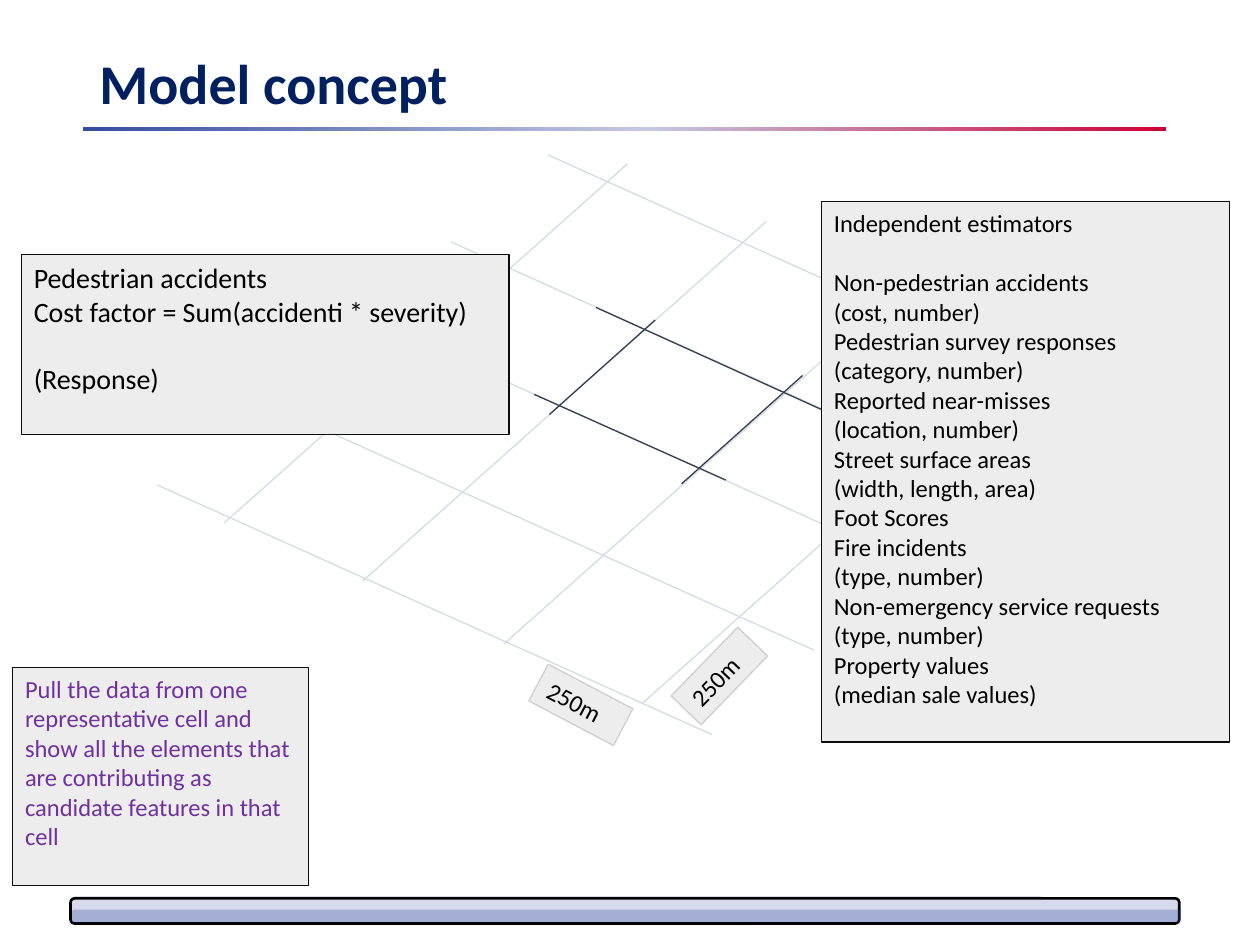
from typing import NamedTuple

from lxml.etree import SubElement
from pptx import Presentation
from pptx.dml.color import RGBColor
from pptx.enum.shapes import MSO_CONNECTOR, MSO_SHAPE
from pptx.enum.text import MSO_ANCHOR, PP_ALIGN
from pptx.oxml import parse_xml
from pptx.oxml.ns import nsdecls, qn
from pptx.util import Inches, Pt

FONT = "Calibri"
NAVY = RGBColor(0x00, 0x20, 0x60)
BLUE = RGBColor(0x35, 0x4C, 0xA1)
BLACK = RGBColor(0x00, 0x00, 0x00)
PURPLE = RGBColor(0x70, 0x30, 0xA0)
PANEL_FILL = RGBColor(0xED, 0xED, 0xED)
PANEL_EDGE = RGBColor(0x0D, 0x0D, 0x0D)
LABEL_EDGE = RGBColor(0xD0, 0xCE, 0xCE)
GRID = RGBColor(0xD6, 0xDC, 0xE5)
CELL_EDGE = RGBColor(0x33, 0x3F, 0x50)


class Box(NamedTuple):
    left: float
    top: float
    width: float
    height: float


class Panel(NamedTuple):
    box: Box
    lines: list[str]
    size: float = 14
    color: RGBColor = BLACK
    edge: RGBColor = PANEL_EDGE
    rotation: float = 0
    wrap: bool = True
    gap_before: int | None = None  # index of the line set off by one line height


# Each family of grid lines shares one direction
AVENUE_STARTS = [(4.98, 1.3), (6.08, 1.76), (7.2, 2.26), (8.3, 2.73)]
AVENUE_RUN = (-3.2, 2.85)
STREET_STARTS = [(1.25, 3.85), (2.06, 3.18), (2.82, 2.49), (3.58, 1.92), (4.35, 1.23)]
STREET_RUN = (4.4, 1.98)
CELL_SIDES = [
    ((5.2, 2.54), (4.36, 3.29)),
    ((6.37, 2.98), (5.41, 3.84)),
    ((4.24, 3.13), (5.76, 3.81)),
    ((4.73, 2.44), (6.52, 3.25)),
]

PANELS = [
    Panel(Box(5.33, 5.2, 0.76, 0.33), ["250m"], edge=LABEL_EDGE, rotation=314.1, wrap=False),
    Panel(Box(4.23, 5.43, 0.76, 0.33), ["250m"], edge=LABEL_EDGE, rotation=27.8, wrap=False),
    Panel(
        Box(0.17, 2.02, 3.87, 1.43),
        ["Pedestrian accidents", "Cost factor = Sum(accidenti * severity)", "(Response)"],
        size=16,
        gap_before=2,
    ),
    Panel(
        Box(6.52, 1.6, 3.24, 4.29),
        [
            "Independent estimators",
            "Non-pedestrian accidents", "(cost, number)",
            "Pedestrian survey responses", "(category, number)",
            "Reported near-misses", "(location, number)",
            "Street surface areas", "(width, length, area)",
            "Foot Scores",
            "Fire incidents", "(type, number)",
            "Non-emergency service requests", "(type, number)",
            "Property values", "(median sale values)",
        ],
        gap_before=1,
    ),
    Panel(
        Box(0.1, 5.3, 2.35, 1.73),
        ["Pull the data from one representative cell and show all the elements "
         "that are contributing as candidate features in that cell"],
        color=PURPLE,
    ),
]


def write(shape, lines: list[str], *, size: float, color: RGBColor, bold: bool = False,
          anchor=MSO_ANCHOR.TOP, wrap: bool = True, spacing: float = 1.0,
          gap_before: int | None = None) -> None:
    frame = shape.text_frame
    frame.word_wrap = wrap
    frame.vertical_anchor = anchor
    for index, line in enumerate(lines):
        paragraph = frame.paragraphs[0] if index == 0 else frame.add_paragraph()
        paragraph.alignment = PP_ALIGN.LEFT
        paragraph.line_spacing = spacing
        if index == gap_before:
            paragraph.space_before = Pt(round(size * 1.22, 1))
        run = paragraph.add_run()
        run.text = line
        run.font.name = FONT
        run.font.size = Pt(size)
        run.font.bold = bold
        run.font.color.rgb = color


def add_block(slide, kind, box: Box, fill: RGBColor, edge: RGBColor | None = None,
              weight: float = 0.75, opacity: int = 100):
    block = slide.shapes.add_shape(kind, *map(Inches, box))
    block.shadow.inherit = False
    block.fill.solid()
    block.fill.fore_color.rgb = fill
    if opacity < 100:
        tint = block.fill._xPr.find(qn("a:solidFill"))[0]
        SubElement(tint, qn("a:alpha"), val=str(opacity * 1000))
    if edge is None:
        block.line.fill.background()
    else:
        block.line.color.rgb = edge
        block.line.width = Pt(weight)
    return block


def add_line(slide, start: tuple, end: tuple, color: RGBColor) -> None:
    line = slide.shapes.add_connector(MSO_CONNECTOR.STRAIGHT, *map(Inches, (*start, *end)))
    line.line.color.rgb = color
    line.line.width = Pt(0.75)
    SubElement(line._element.spPr, qn("a:effectLst"))


def add_title_rule(slide) -> None:
    rule = add_block(slide, MSO_SHAPE.ROUNDED_RECTANGLE, Box(0.66, 1.01, 8.6, 0.03), BLUE)
    solid = rule.fill._xPr.find(qn("a:solidFill"))
    stops = "".join(
        f'<a:gs pos="{place * 1000}"><a:srgbClr val="{color}"/></a:gs>'
        for place, color in [(0, "354CA1"), (52, "C4CAE3"), (100, "CC0035")]
    )
    solid.getparent().replace(solid, parse_xml(
        f'<a:gradFill {nsdecls("a")}><a:gsLst>{stops}</a:gsLst><a:lin ang="0"/></a:gradFill>'))


def add_grid(slide) -> None:
    for starts, (dx, dy) in [(AVENUE_STARTS, AVENUE_RUN), (STREET_STARTS, STREET_RUN)]:
        for x, y in starts:
            add_line(slide, (x, y), (x + dx, y + dy), GRID)
    for start, end in CELL_SIDES:
        add_line(slide, start, end, CELL_EDGE)


def add_panel(slide, panel: Panel) -> None:
    block = add_block(slide, MSO_SHAPE.RECTANGLE, panel.box, PANEL_FILL, panel.edge)
    block.rotation = panel.rotation
    write(block, panel.lines, size=panel.size, color=panel.color, wrap=panel.wrap,
          gap_before=panel.gap_before)


def main() -> None:
    deck = Presentation()
    deck.slide_width, deck.slide_height = Inches(10), Inches(7.5)
    slide = deck.slides.add_slide(deck.slide_layouts[6])

    bar = MSO_SHAPE.ROUNDED_RECTANGLE
    add_block(slide, bar, Box(0.56, 7.13, 8.8, 0.2), BLUE, BLACK, weight=1.5, opacity=20)
    add_block(slide, bar, Box(0.57, 7.22, 8.8, 0.1), BLUE, opacity=30)
    add_title_rule(slide)
    add_grid(slide)

    title = slide.shapes.add_textbox(*map(Inches, Box(0.69, 0.4, 8.62, 0.57)))
    write(title, ["Model concept"], size=32, color=NAVY, bold=True,
          anchor=MSO_ANCHOR.MIDDLE, spacing=0.9)
    for panel in PANELS:
        add_panel(slide, panel)

    deck.save("out.pptx")


if __name__ == "__main__":
    main()
